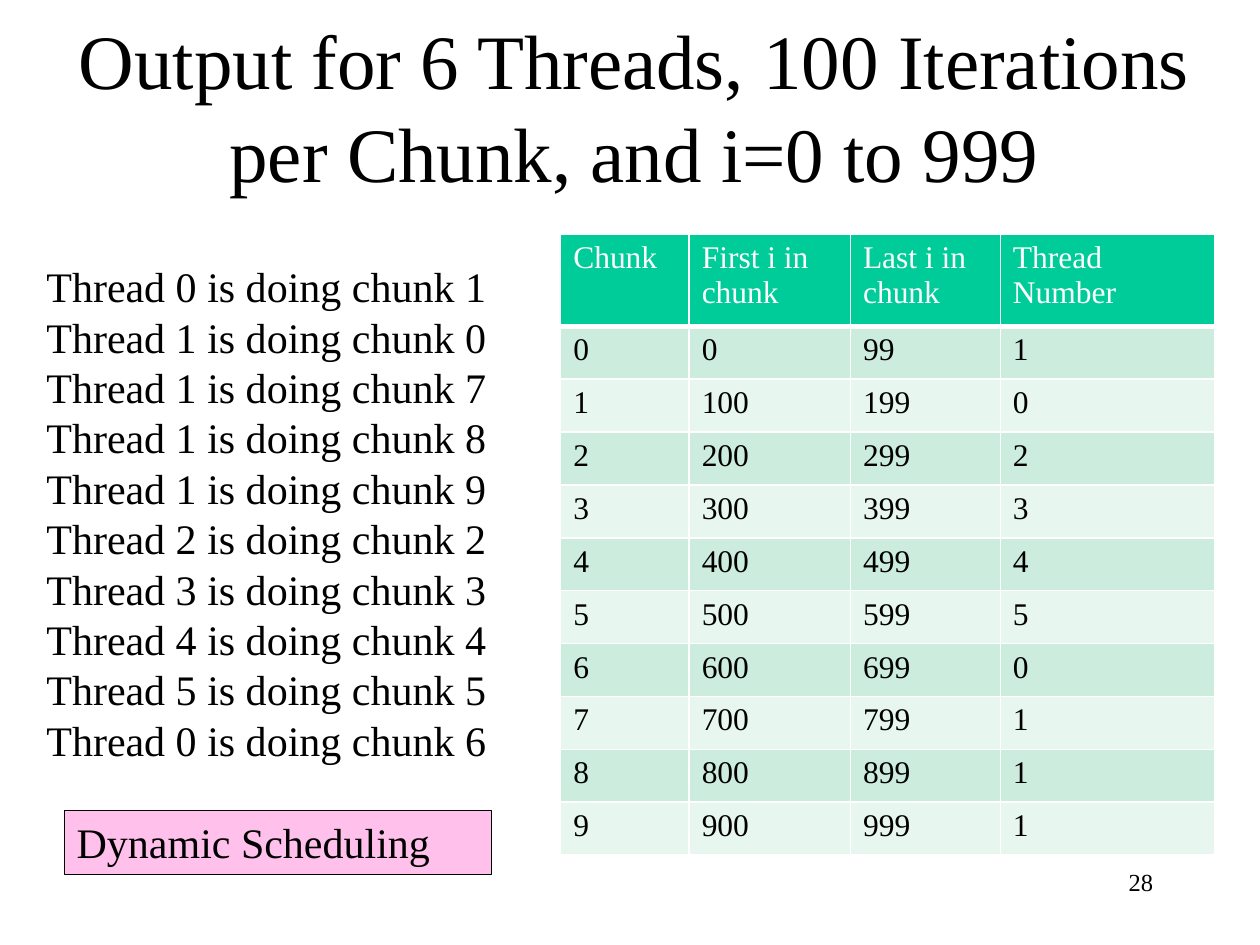
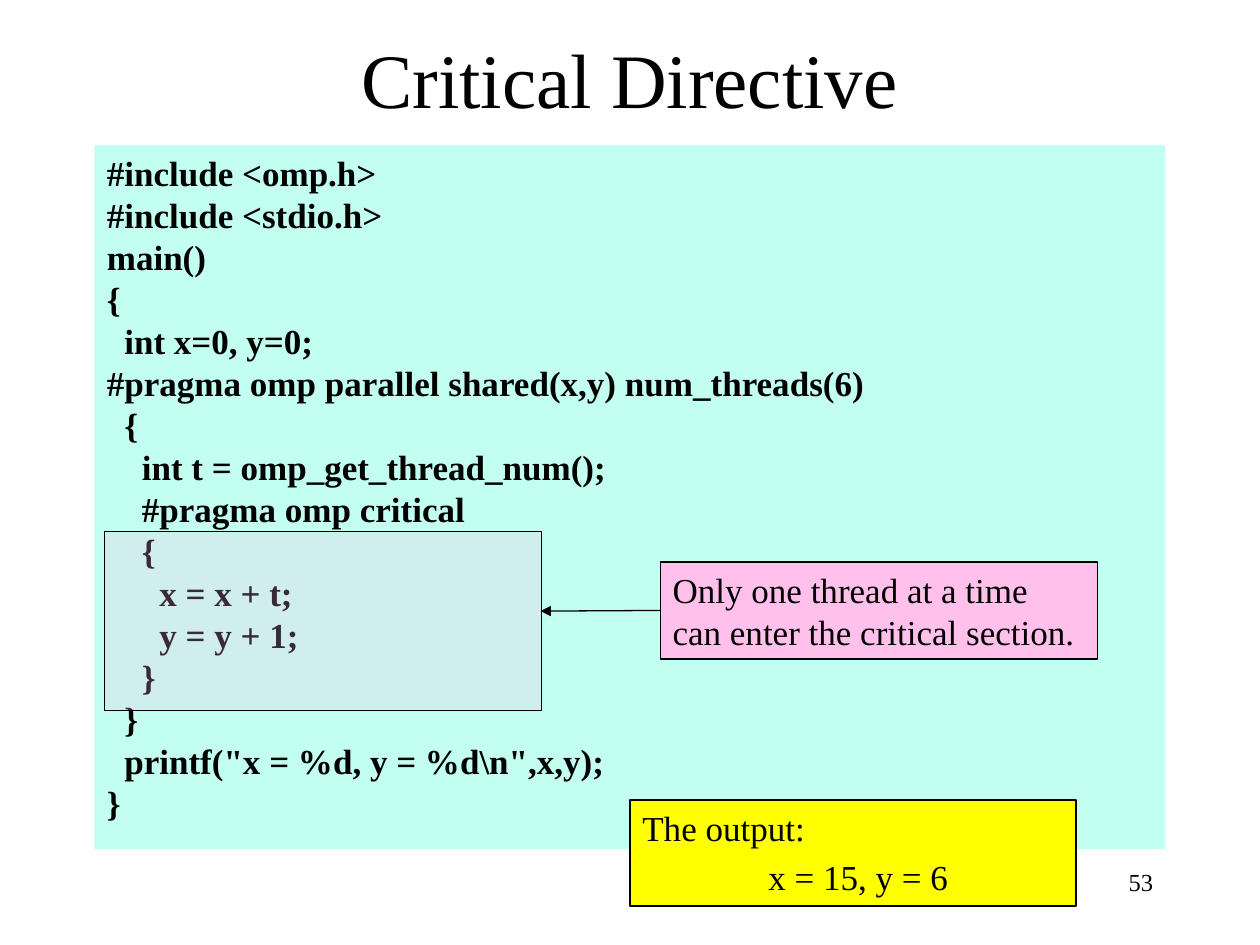
from dataclasses import dataclass

from lxml.etree import SubElement
from pptx import Presentation
from pptx.dml.color import RGBColor
from pptx.enum.shapes import MSO_CONNECTOR, MSO_SHAPE
from pptx.enum.text import MSO_ANCHOR, MSO_AUTO_SIZE, PP_ALIGN
from pptx.oxml.ns import qn
from pptx.util import Inches, Pt

COLOURS = {
    "text": "000000",
    "white": "FFFFFF",
    "header": "00CC99",
    "odd_row": "CCECDE",
    "even_row": "E7F6EF",
    "code": "C2FFF0",
    "label": "FFC1EC",
    "critical": "FFB6EB",
    "output": "FFFF00",
}
FONT_NAME = "Times New Roman"
LINE_PITCH = 1.2
LINE_WIDTH = Pt(0.75)
TITLE_SIZE = 44
NUMBER_SIZE = 14
TABLE_SIZE = 18

RUN_LOG = [(0, 1), (1, 0), (1, 7), (1, 8), (1, 9),
           (2, 2), (3, 3), (4, 4), (5, 5), (0, 6)]
CHUNK_SIZE = 100
TABLE_HEADINGS = ("Chunk", "First i in chunk", "Last i in chunk", "Thread Number")
COLUMN_WIDTHS = (1.02, 1.28, 1.19, 1.7)
HEADER_HEIGHT = 0.73
ROW_HEIGHT = 0.42

CODE = r"""#include <omp.h>
#include <stdio.h>
main()
{
  int x=0, y=0;
#pragma omp parallel shared(x,y) num_threads(6)
  {
    int t = omp_get_thread_num();
    #pragma omp critical
    {
      x = x + t;
      y = y + 1;
    }
  }
  printf("x = %d, y = %d\n",x,y);
}"""


@dataclass(frozen=True)
class Area:
    left: float
    top: float
    width: float
    height: float

    def lengths(self) -> tuple:
        return tuple(Inches(value) for value in
                     (self.left, self.top, self.width, self.height))


@dataclass(frozen=True)
class Panel:
    area: Area
    lines: tuple = ()
    size: int = 20
    fill: str | None = None
    outlined: bool = True
    bold: bool = False
    alpha: int | None = None
    space_before: float = 0
    last_indent: float = 0
    align: PP_ALIGN = PP_ALIGN.LEFT


def colour(name: str) -> RGBColor:
    return RGBColor.from_string(COLOURS[name])


def apply_format(target, values: dict) -> None:
    for name, value in values.items():
        setattr(target, name, value)


def write_paragraph(paragraph, text: str, size: int, ink: str = "text",
                    bold: bool = False) -> None:
    run = paragraph.add_run()
    run.text = text
    apply_format(run.font, {"name": FONT_NAME, "size": Pt(size), "bold": bold})
    run.font.color.rgb = colour(ink)


def write_lines(text_frame, panel: Panel) -> None:
    apply_format(text_frame, {"word_wrap": True, "auto_size": MSO_AUTO_SIZE.NONE,
                              "vertical_anchor": MSO_ANCHOR.TOP})
    for index, line in enumerate(panel.lines):
        paragraph = text_frame.add_paragraph() if index else text_frame.paragraphs[0]
        apply_format(paragraph, {
            "alignment": panel.align,
            "line_spacing": Pt(panel.size * LINE_PITCH),
            "space_before": Pt(panel.space_before if index else 0),
        })
        write_paragraph(paragraph, line, panel.size, bold=panel.bold)
    if panel.last_indent:
        properties = text_frame.paragraphs[-1]._p.get_or_add_pPr()
        properties.set("marL", str(Inches(panel.last_indent)))


def add_panel(slide, panel: Panel):
    if panel.fill is None:
        shape = slide.shapes.add_textbox(*panel.area.lengths())
    else:
        shape = slide.shapes.add_shape(MSO_SHAPE.RECTANGLE, *panel.area.lengths())
        shape.shadow.inherit = False
        shape.fill.solid()
        shape.fill.fore_color.rgb = colour(panel.fill)
        if panel.outlined:
            shape.line.color.rgb = colour("text")
            shape.line.width = LINE_WIDTH
        else:
            shape.line.fill.background()
    if panel.alpha is not None:
        fill_colour = shape.fill._xPr.find(f".//{qn('a:srgbClr')}")
        SubElement(fill_colour, qn("a:alpha"), val=str(panel.alpha * 1000))
    if panel.lines:
        write_lines(shape.text_frame, panel)
    return shape


def add_titled_slide(presentation, title: str, title_area: Area, number: int):
    slide = presentation.slides.add_slide(presentation.slide_layouts[5])
    shape = slide.shapes.title
    apply_format(shape, dict(zip(("left", "top", "width", "height"),
                                 title_area.lengths())))
    write_lines(shape.text_frame, Panel(title_area, (title,), TITLE_SIZE,
                                        align=PP_ALIGN.CENTER))
    shape.text_frame.vertical_anchor = MSO_ANCHOR.MIDDLE
    add_panel(slide, Panel(Area(7.17, 6.83, 2.08, 0.5), (str(number),),
                           NUMBER_SIZE, align=PP_ALIGN.RIGHT))
    return slide


def set_borders(cell, first: bool) -> None:
    properties = cell._tc.get_or_add_tcPr()
    widths = {"a:lnL": 1, "a:lnR": 1, "a:lnT": 1, "a:lnB": 3 if first else 1}
    for index, (tag, width) in enumerate(widths.items()):
        border = properties.makeelement(qn(tag), {"w": str(Pt(width))})
        fill = SubElement(border, qn("a:solidFill"))
        SubElement(fill, qn("a:srgbClr"), val=COLOURS["white"])
        properties.insert(index, border)


def add_chunk_table(slide) -> None:
    thread_of = {chunk: thread for thread, chunk in RUN_LOG}
    rows = [TABLE_HEADINGS] + [
        (chunk, chunk * CHUNK_SIZE, (chunk + 1) * CHUNK_SIZE - 1, thread_of[chunk])
        for chunk in sorted(thread_of)
    ]
    area = Area(4.45, 1.86, sum(COLUMN_WIDTHS),
                HEADER_HEIGHT + ROW_HEIGHT * len(RUN_LOG))
    table = slide.shapes.add_table(len(rows), len(TABLE_HEADINGS),
                                   *area.lengths()).table
    for column, width in zip(table.columns, COLUMN_WIDTHS):
        column.width = Inches(width)
    for row_index, values in enumerate(rows):
        first = row_index == 0
        table.rows[row_index].height = Inches(HEADER_HEIGHT if first else ROW_HEIGHT)
        fill = "header" if first else "odd_row" if row_index % 2 else "even_row"
        for column_index, value in enumerate(values):
            cell = table.cell(row_index, column_index)
            cell.fill.solid()
            cell.fill.fore_color.rgb = colour(fill)
            write_paragraph(cell.text_frame.paragraphs[0], str(value), TABLE_SIZE,
                            "white" if first else "text")
            set_borders(cell, first)


def add_arrow(slide, source, end_left: float, end_top: float) -> None:
    connector = slide.shapes.add_connector(
        MSO_CONNECTOR.STRAIGHT, source.left, source.top,
        Inches(end_left), Inches(end_top))
    connector.begin_connect(source, 1)
    connector.line.color.rgb = colour("text")
    connector.line.width = LINE_WIDTH
    SubElement(connector.line._get_or_add_ln(), qn("a:tailEnd"), type="triangle")
    SubElement(connector._element.spPr, qn("a:effectLst"))


def build_scheduling_slide(presentation) -> None:
    slide = add_titled_slide(
        presentation, "Output for 6 Threads, 100 Iterations per Chunk, and i=0 to 999",
        Area(0.43, 0.21, 9.21, 1.25), 28)
    log_lines = tuple(f"Thread {thread} is doing chunk {chunk}"
                      for thread, chunk in RUN_LOG)
    add_panel(slide, Panel(Area(0.27, 2.02, 3.86, 4.5), log_lines, 24))
    add_chunk_table(slide)
    add_panel(slide, Panel(Area(0.51, 6.43, 3.39, 0.51), ("Dynamic Scheduling",),
                           24, "label"))


def build_critical_slide(presentation) -> None:
    slide = add_titled_slide(presentation, "Critical Directive",
                             Area(0.75, -0.01, 8.5, 1.25), 53)
    add_panel(slide, Panel(Area(0.75, 1.15, 8.5, 5.59), tuple(CODE.splitlines()),
                           fill="code", outlined=False, bold=True))
    add_panel(slide, Panel(Area(0.83, 4.22, 3.47, 1.42), fill="critical", alpha=23))
    explanation = add_panel(slide, Panel(
        Area(5.24, 4.46, 3.47, 0.77),
        ("Only one thread at a time can enter the critical section.",), fill="label"))
    add_arrow(slide, explanation, 4.29, 4.85)
    add_panel(slide, Panel(Area(5, 6.35, 3.54, 0.84), ("The output:", "x = 15, y = 6"),
                           fill="output", space_before=4, last_indent=1))


def main() -> None:
    presentation = Presentation()
    presentation.slide_width = Inches(10)
    presentation.slide_height = Inches(7.5)
    build_scheduling_slide(presentation)
    build_critical_slide(presentation)
    presentation.save("out.pptx")


if __name__ == "__main__":
    main()
